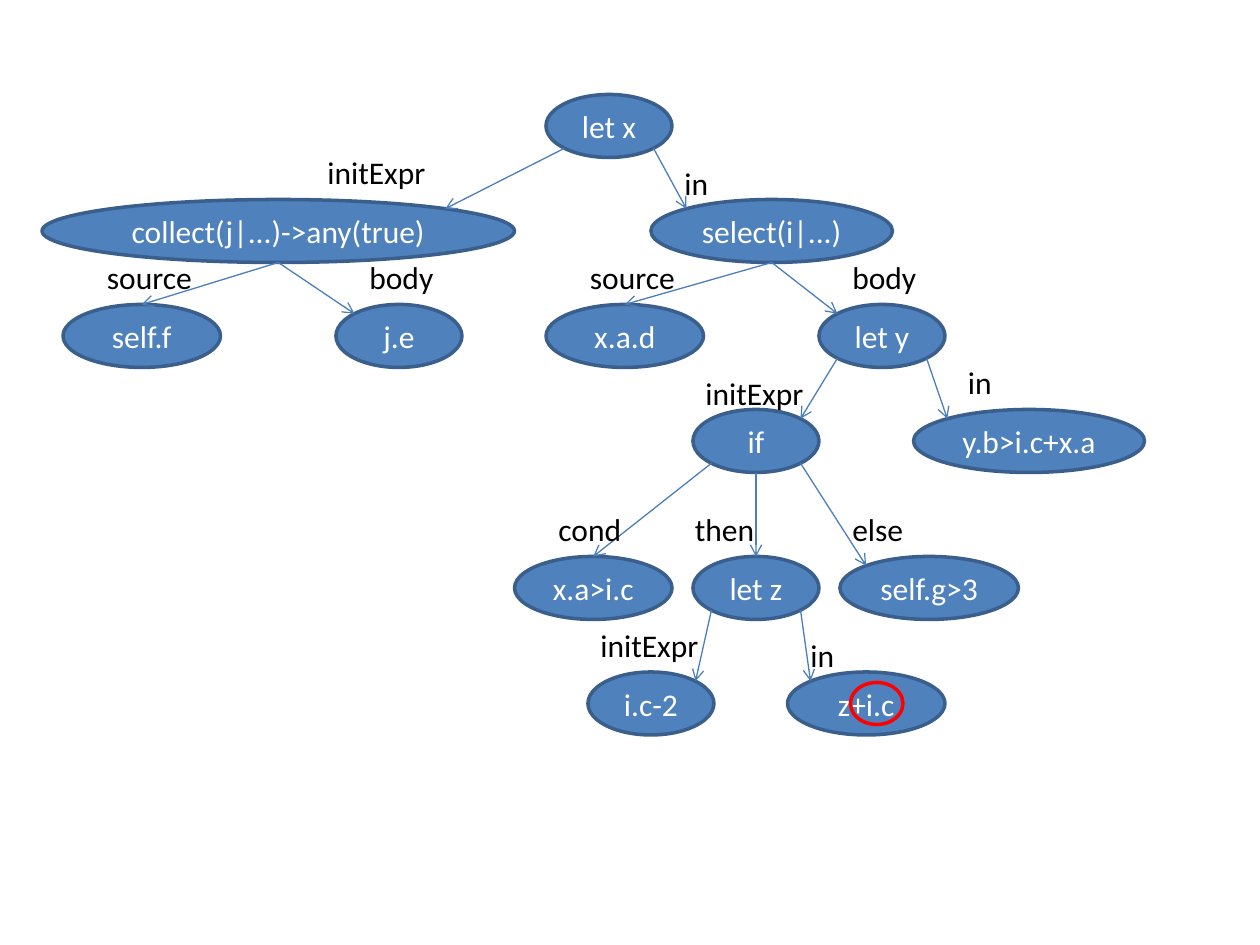
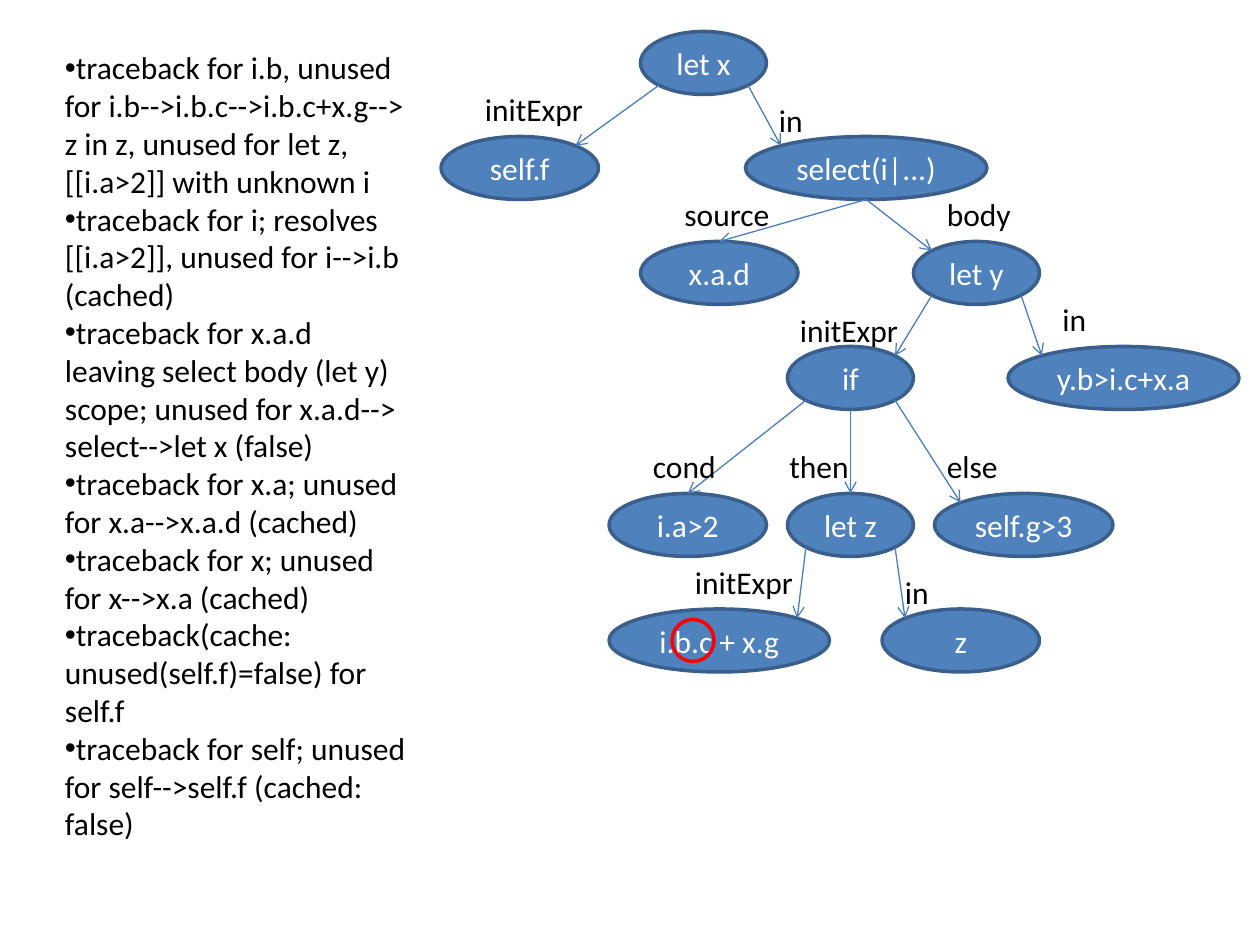
from math import cos, pi, sin

from pptx import Presentation
from pptx.dml.color import RGBColor as RGB
from pptx.enum.shapes import MSO_CONNECTOR as LINE, MSO_SHAPE as SHAPE
from pptx.enum.text import MSO_ANCHOR as ANCHOR, MSO_AUTO_SIZE as FIT, PP_ALIGN as ALIGN
from pptx.oxml.ns import qn
from pptx.util import Cm, Pt
from lxml.etree import SubElement as Sub

COLORS = {"fill": "4F81BD", "edge": "3A5F8C", "arrow": "4B7EBC",
          "ring": "FF0000", "node": "FFFFFF", "text": "000000"}
STEP = 2.54 / 12  # grid step in cm
HIGH = 6  # node height in grid steps
WIDE = {"in": 0.99, "source": 2.24, "body": 1.83, "initExpr": 2.51,
        "cond": 1.8, "then": 1.73, "else": 1.55}  # label widths in cm
# Connection sites of an ellipse, counted from the top, counterclockwise
TOP, TOP_L, LEFT, LOW_L, LOW, LOW_R, RIGHT, TOP_R = range(8)


class Tree:
    """Style and current slide; positions are grid steps from an origin."""

    def __init__(self, deck):
        """Keep the deck to which slides are added."""
        self.deck = deck

    def page(self, dx=0, dy=0):
        """Start a blank slide whose tree is shifted by dx, dy."""
        self.shapes = self.deck.slides.add_slide(self.deck.slide_layouts[6]).shapes
        self.dx, self.dy = dx, dy

    def spot(self, x, y):
        """Turn grid steps into slide lengths."""
        return Cm((x + self.dx) * STEP), Cm((y + self.dy) * STEP)

    def font(self, para, color):
        """Give a paragraph the common font."""
        para.font.name, para.font.size = "Calibri", Pt(18)
        para.font.color.rgb = RGB.from_string(COLORS[color])

    def oval(self, x, y, w, h, edge):
        """Draw an ellipse with a line and no shadow."""
        oval = self.shapes.add_shape(SHAPE.OVAL, *self.spot(x, y), Cm(w * STEP), Cm(h * STEP))
        oval.shadow.inherit = False
        oval.line.color.rgb = RGB.from_string(COLORS[edge])
        oval.line.width = Pt(2)
        return oval

    def node(self, text, x, y, w):
        """Draw a tree node."""
        node = self.oval(x, y, w, HIGH, "edge")
        node.fill.solid()
        node.fill.fore_color.rgb = RGB.from_string(COLORS["fill"])
        frame = node.text_frame
        frame.vertical_anchor = ANCHOR.MIDDLE
        frame.text = text
        frame.paragraphs[0].alignment = ALIGN.CENTER
        self.font(frame.paragraphs[0], "node")
        return node

    def ring(self, x, y, w):
        """Mark an expression with an open ring."""
        self.oval(x, y, w, 4, "ring").fill.background()

    def site(self, node, num):
        """Find a connection site on the rim of a node."""
        turn = num * pi / 4
        return (int(node.left + node.width * (1 - sin(turn)) / 2),
                int(node.top + node.height * (1 - cos(turn)) / 2))

    def link(self, start, out, end, into):
        """Glue an arrow between sites of two nodes."""
        line = self.shapes.add_connector(LINE.STRAIGHT, *self.site(start, out),
                                         *self.site(end, into))
        line.line.color.rgb = RGB.from_string(COLORS["arrow"])
        line.line.width = Pt(0.75)
        Sub(line.line._get_or_add_ln(), qn("a:tailEnd"), type="arrow")
        Sub(line.element.spPr, qn("a:effectLst"))
        glue = line.element.find(".//" + qn("p:cNvCxnSpPr"))
        for tag, node, num in (("a:stCxn", start, out), ("a:endCxn", end, into)):
            Sub(glue, qn(tag), id=str(node.shape_id), idx=str(num))

    def label(self, text, x, y):
        """Write the role of a branch."""
        box = self.shapes.add_textbox(*self.spot(x, y), Cm(WIDE[text]), Cm(1.03))
        frame = box.text_frame
        frame.text = text
        frame.word_wrap, frame.auto_size = False, FIT.SHAPE_TO_FIT_TEXT
        self.font(frame.paragraphs[0], "text")

    def notes(self, items, x, y, w, h):
        """Write a bulleted list, placed from the slide corner."""
        frame = self.shapes.add_textbox(Cm(x), Cm(y), Cm(w), Cm(h)).text_frame
        frame.word_wrap, frame.auto_size = True, FIT.SHAPE_TO_FIT_TEXT
        frame.text = "\n".join(items)
        for para in frame.paragraphs:
            self.font(para, "text")
            props = para._p.get_or_add_pPr()
            Sub(props, qn("a:buFont"), typeface="Arial")
            Sub(props, qn("a:buChar"), char="•")

    def main(self, init, cond, then, last):
        """Draw the let x tree; init, then and last are (text, x, width)."""
        def leaf(part, y):
            text, x, w = part
            return self.node(text, x, y, w)

        root = self.node("let x", 52, 9, 12)
        first = leaf(init, 19)
        pick = self.node("select(i|...)", 62, 19, 23)
        src = self.node("x.a.d", 52, 29, 15)
        let_y = self.node("let y", 78, 29, 12)
        test = self.node("if", 66, 39, 12)
        sum_y = self.node("y.b>i.c+x.a", 87, 39, 22)
        when = self.node(cond, 49, 53, 15)
        let_z = self.node("let z", 66, 53, 12)
        other = self.node("self.g>3", 80, 53, 17)
        init_z, in_z = leaf(then, 64), leaf(last, 64)
        for link in ((root, LOW_L, first, TOP_R), (root, LOW_R, pick, TOP_L),
                     (pick, LOW, src, TOP), (pick, LOW, let_y, TOP_L),
                     (let_y, LOW_L, test, TOP_R), (let_y, LOW_R, sum_y, TOP_L),
                     (test, LOW_L, when, TOP), (test, LOW, let_z, TOP),
                     (test, LOW_R, other, TOP_L),
                     (let_z, LOW_L, init_z, TOP_R), (let_z, LOW_R, in_z, TOP_L)):
            self.link(*link)
        for label in (("in", 64, 15), ("source", 55, 24), ("body", 80, 24),
                      ("initExpr", 66, 35), ("in", 91, 34), ("cond", 52, 48),
                      ("then", 65, 48), ("else", 80, 48),
                      ("initExpr", 56, 59), ("in", 76, 60)):
            self.label(*label)
        return first


deck = Presentation()
deck.slide_width, deck.slide_height = Cm(25.4), Cm(19.05)
tree = Tree(deck)

# Slide 1: let x starts from a collect expression
tree.page()
gather = tree.main(("collect(j|...)->any(true)", 4, 45), "x.a>i.c",
                   ("i.c-2", 56, 12), ("z+i.c", 75, 15))
tree.link(gather, LOW, tree.node("self.f", 6, 29, 15), TOP)
tree.link(gather, LOW, tree.node("j.e", 32, 29, 12), TOP_L)
tree.label("initExpr", 30, 14)
tree.label("source", 9, 24)
tree.label("body", 34, 24)
tree.ring(81, 65, 5)

# Slide 2: let x starts from self.f, with the traceback beside the tree
tree.page(9, -6)
tree.main(("self.f", 33, 19, )[0:1] + (33, 15), "i.a>2",
          ("i.b.c + x.g", 49, 21), ("z", 75, 15))
tree.label("initExpr", 36, 14)
tree.ring(55, 65, 4)
tree.notes([
    "traceback for i.b, unused for i.b-->i.b.c-->i.b.c+x.g--> z in z, "
    "unused for let z, [[i.a>2]] with unknown i",
    "traceback for i; resolves [[i.a>2]], unused for i-->i.b (cached)",
    "traceback for x.a.d leaving select body (let y) scope; "
    "unused for x.a.d--> select-->let x (false)",
    "traceback for x.a; unused for x.a-->x.a.d (cached)",
    "traceback for x; unused for x-->x.a (cached)",
    "traceback(cache: unused(self.f)=false) for self.f",
    "traceback for self; unused for self-->self.f (cached: false)",
], 1.06, 0.85, 7.41, 16.4)

deck.save("out.pptx")
